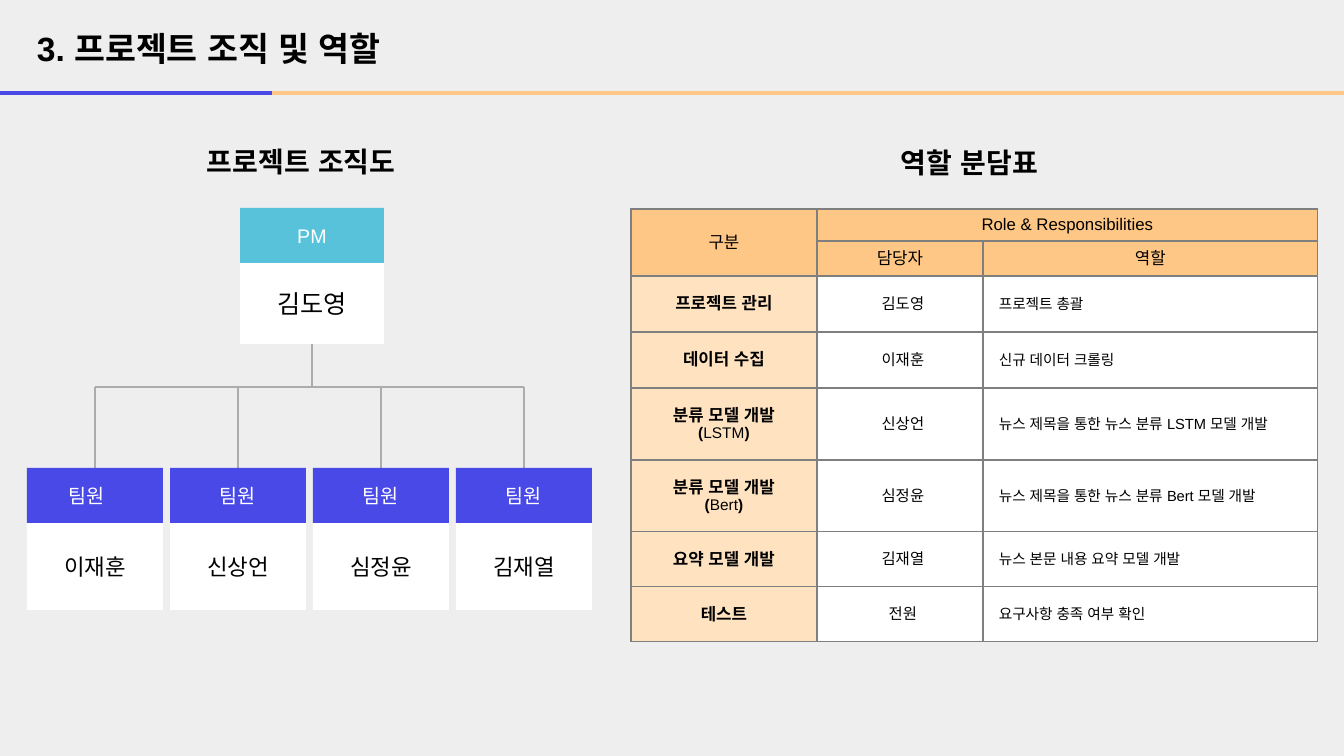
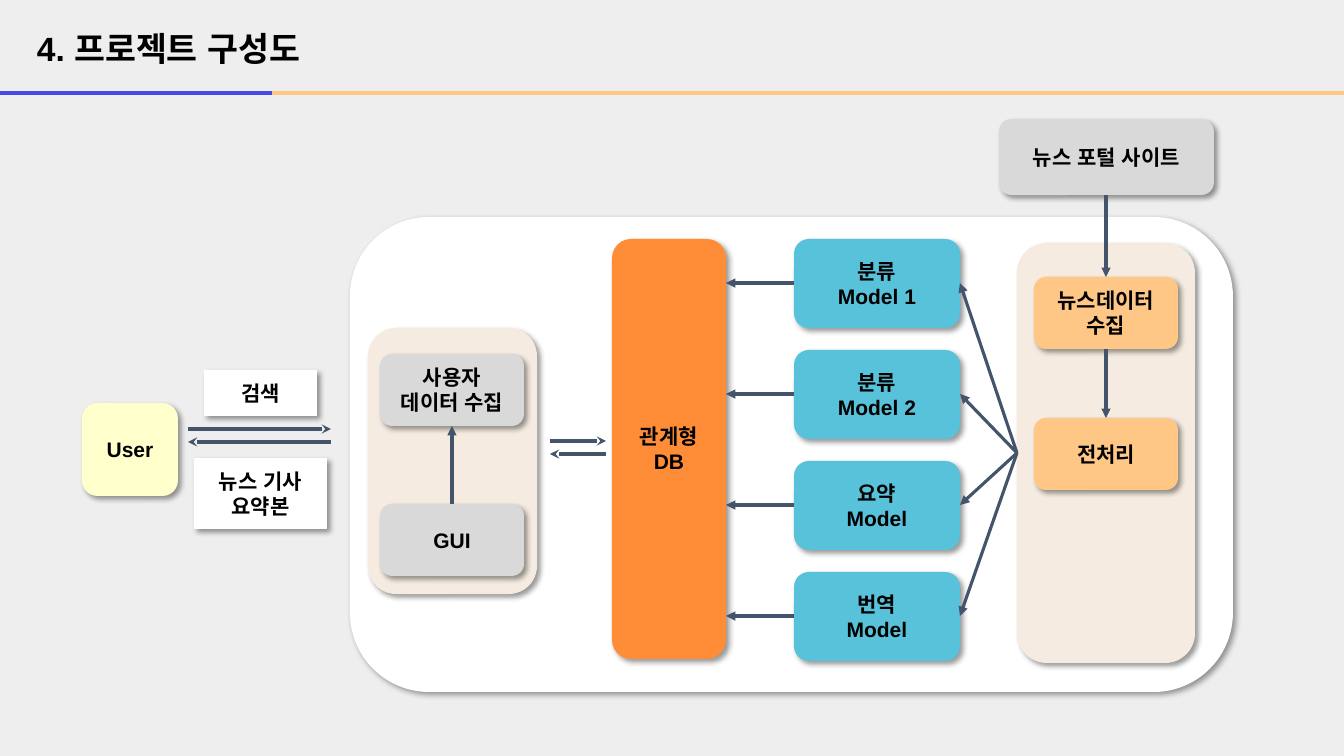
from lxml.etree import SubElement
from pptx import Presentation
from pptx.dml.color import RGBColor
from pptx.enum.shapes import MSO_CONNECTOR, MSO_SHAPE
from pptx.enum.text import MSO_ANCHOR, PP_ALIGN
from pptx.oxml.ns import qn
from pptx.util import Pt

PX = 914400 / 100.8
SLIDE_WIDTH, SLIDE_HEIGHT = 1344, 756
FONT = "Arial"
COLORS = {
    "background": "EEEEEE",
    "black": "000000",
    "white": "FFFFFF",
    "blue": "4949E8",
    "orange": "FFC785",
    "pale_orange": "FFE3C1",
    "deep_orange": "FF8C37",
    "teal": "58C2DA",
    "beige": "F5EBE0",
    "gray": "D9D9D9",
    "yellow": "FFFFCC",
    "tree_line": "AEABAB",
    "table_line": "7F7F7F",
    "arrow": "44546A",
}
MEMBERS = ["이재훈", "신상언", "심정윤", "김재열"]
ROLES = [
    ("프로젝트 관리", "", "김도영", "프로젝트 총괄"),
    ("데이터 수집", "", "이재훈", "신규 데이터 크롤링"),
    ("분류 모델 개발", "LSTM", "신상언", "뉴스 제목을 통한 뉴스 분류 LSTM 모델 개발"),
    ("분류 모델 개발", "Bert", "심정윤", "뉴스 제목을 통한 뉴스 분류 Bert 모델 개발"),
    ("요약 모델 개발", "", "김재열", "뉴스 본문 내용 요약 모델 개발"),
    ("테스트", "", "전원", "요구사항 충족 여부 확인"),
]
MODELS = ["분류\nModel 1", "분류\nModel 2", "요약\nModel", "번역\nModel"]


def emu(pixels):
    """Turn pixels into EMU."""
    return round(pixels * PX)


def rgb(name):
    """Look up a named colour."""
    return RGBColor.from_string(COLORS[name])


def format_run(run, size, color="black", bold=False):
    """Set the font of one run for Latin and Korean text."""
    run.font.name = FONT
    run.font.size = Pt(size)
    run.font.bold = bold
    run.font.color.rgb = rgb(color)
    SubElement(run.font._element, qn("a:ea")).set("typeface", FONT)


def write_text(text_frame, text, size, color="black", bold=False, align=PP_ALIGN.CENTER):
    """Fill a text frame and format all of its runs."""
    text_frame.text = text
    for paragraph in text_frame.paragraphs:
        paragraph.alignment = align
        for run in paragraph.runs:
            format_run(run, size, color, bold)


def add_label(slide, left, top, width, height, text, size):
    """Add a bold, left-aligned heading."""
    shape = slide.shapes.add_textbox(emu(left), emu(top), emu(width), emu(height))
    shape.text_frame.word_wrap = True
    write_text(shape.text_frame, text, size, bold=True, align=PP_ALIGN.LEFT)


def add_box(slide, left, top, width, height, fill, kind=MSO_SHAPE.RECTANGLE):
    """Add a plain filled shape without outline or shadow."""
    shape = slide.shapes.add_shape(kind, emu(left), emu(top), emu(width), emu(height))
    shape.shadow.inherit = False
    shape.fill.solid()
    shape.fill.fore_color.rgb = rgb(fill)
    shape.line.fill.background()
    return shape


def add_block(slide, left, top, width, height, fill, text="", kind=MSO_SHAPE.ROUNDED_RECTANGLE):
    """Add a diagram block with a soft shadow and a bold caption."""
    shape = add_box(slide, left, top, width, height, fill, kind)
    effects = shape._element.spPr.find(qn("a:effectLst"))
    shadow = SubElement(effects, qn("a:outerShdw"), blurRad="50800", dist="38100",
                        dir="2700000", algn="tl", rotWithShape="0")
    color = SubElement(shadow, qn("a:srgbClr"), val=COLORS["black"])
    SubElement(color, qn("a:alpha"), val="40000")
    if text:
        text_frame = shape.text_frame
        text_frame.margin_left = text_frame.margin_right = emu(10)
        text_frame.margin_top = text_frame.margin_bottom = emu(10)
        write_text(text_frame, text, 15, bold=True)


def add_line(slide, start, end, color, width, head=None):
    """Add a straight line, with an arrowhead at its end if one is named."""
    line = slide.shapes.add_connector(
        MSO_CONNECTOR.STRAIGHT, *(emu(value) for value in (*start, *end)))
    line.line.color.rgb = rgb(color)
    line.line.width = Pt(width)
    if head:
        SubElement(line.line._get_or_add_ln(), qn("a:tailEnd"), type=head)
    SubElement(line._element.spPr, qn("a:effectLst"))


def add_arrow(slide, start, end, head="triangle"):
    """Add a diagram arrow."""
    add_line(slide, start, end, "arrow", 2.25, head)


def add_exchange(slide, left, top, width):
    """Add a pair of opposite arrows."""
    right, lower = left + width, top + 13
    add_arrow(slide, (left, top), (right, top), "stealth")
    add_arrow(slide, (right, lower), (left, lower), "stealth")


def add_base(presentation, title):
    """Add a slide with background, title and two-colour rule."""
    slide = presentation.slides.add_slide(presentation.slide_layouts[6])
    slide.background.fill.solid()
    slide.background.fill.fore_color.rgb = rgb("background")
    add_label(slide, 27, 23, 428, 50, title, 24)
    add_line(slide, (0, 93), (272, 93), "blue", 3)
    add_line(slide, (272, 93), (SLIDE_WIDTH, 93), "orange", 3)
    return slide


def draw_card(slide, left, top, width, name_height, fill, role, name, name_size, shift=0):
    """Draw a person card: a coloured role band over a white name."""
    band_height = 55
    person = add_box(slide, left, top + band_height, width, name_height, "white")
    write_text(person.text_frame, name, name_size)
    band = add_box(slide, left, top, width, band_height, fill)
    band.text_frame.margin_right = emu(10 + shift)
    write_text(band.text_frame, role, 14, "white")


def draw_organization(slide, left, top):
    """Draw the organization tree under its heading."""
    card_width, step = 136, 143
    trunk, bus, members_top = left + 285, top + 247, top + 328
    add_label(slide, left + 170, top, 292, 40, "프로젝트 조직도", 20)
    draw_card(slide, trunk - 72, top + 68, 144, 81, "teal", "PM", "김도영", 18)
    add_line(slide, (trunk, top + 204), (trunk, bus), "tree_line", 1.5)
    centers = [left + card_width // 2 + step * index for index in range(len(MEMBERS))]
    add_line(slide, (centers[0], bus), (centers[-1], bus), "tree_line", 1.5)
    for index, (center, name) in enumerate(zip(centers, MEMBERS)):
        add_line(slide, (center, bus), (center, members_top), "tree_line", 1.5)
        draw_card(slide, center - card_width // 2, members_top, card_width, 87, "blue",
                  "팀원", name, 16, shift=0 if index else 17)


def style_cell(cell, fill, margin_x, margin_y):
    """Set borders, fill, margins and anchor of a table cell."""
    properties = cell._tc.get_or_add_tcPr()
    for side in ("a:lnL", "a:lnR", "a:lnT", "a:lnB"):
        border = SubElement(properties, qn(side), w=str(Pt(1)))
        SubElement(SubElement(border, qn("a:solidFill")), qn("a:srgbClr"),
                   val=COLORS["table_line"])
    cell.fill.solid()
    cell.fill.fore_color.rgb = rgb(fill)
    cell.vertical_anchor = MSO_ANCHOR.MIDDLE
    cell.margin_left = cell.margin_right = emu(margin_x)
    cell.margin_top = cell.margin_bottom = emu(margin_y)


def write_indented(cell, text, size, align):
    """Fill a white body cell whose text has a small hanging indent."""
    style_cell(cell, "white", 10, 4)
    write_text(cell.text_frame, text, size, align=align)
    properties = cell.text_frame.paragraphs[0]._p.get_or_add_pPr()
    properties.set("marL", str(emu(10)))
    properties.set("indent", str(emu(-4)))


def write_task(cell, task, model):
    """Fill a task cell, with the model name in brackets below if there is one."""
    style_cell(cell, "pale_orange", 5, 5)
    write_text(cell.text_frame, task, 12, bold=True)
    if model:
        paragraph = cell.text_frame.add_paragraph()
        paragraph.alignment = PP_ALIGN.CENTER
        for piece in ("(", model, ")"):
            run = paragraph.add_run()
            run.text = piece
            format_run(run, 11, bold=piece != model)


def draw_roles(slide, left, top):
    """Draw the table of roles under its heading."""
    widths = [186, 166, 335]
    heights = [32, 35, 56, 56, 72, 72, 55, 55]
    add_label(slide, left + 260, top, 170, 40, "역할 분담표", 20)
    table = slide.shapes.add_table(
        len(heights), len(widths), emu(left), emu(top + 68),
        emu(sum(widths)), emu(sum(heights))).table
    table.first_row = table.horz_banding = False
    for column, width in zip(table.columns, widths):
        column.width = emu(width)
    for row, height in zip(table.rows, heights):
        row.height = emu(height)
    table.cell(0, 0).merge(table.cell(1, 0))
    table.cell(0, 1).merge(table.cell(0, 2))
    headers = [["구분", "Role & Responsibilities", ""], ["", "담당자", "역할"]]
    for row, texts in enumerate(headers):
        for column, text in enumerate(texts):
            cell = table.cell(row, column)
            style_cell(cell, "orange", 10, 5)
            if text:
                write_text(cell.text_frame, text, 12)
    for row, (task, model, person, role) in enumerate(ROLES, len(headers)):
        write_task(table.cell(row, 0), task, model)
        write_indented(table.cell(row, 1), person, 11, PP_ALIGN.CENTER)
        write_indented(table.cell(row, 2), role, 10.5, PP_ALIGN.LEFT)


def draw_user(slide, left, top):
    """Draw the user and the messages exchanged with the system."""
    add_block(slide, left, top + 33, 96, 93, "yellow", "User")
    add_block(slide, left + 122, top, 113, 46, "white", "검색", MSO_SHAPE.RECTANGLE)
    add_block(slide, left + 112, top + 88, 133, 71, "white", "뉴스 기사 요약본",
              MSO_SHAPE.RECTANGLE)
    add_exchange(slide, left + 106, top + 59, 143)


def draw_stack(slide, left, top, fill, texts, step):
    """Draw equal steps one below another."""
    for index, text in enumerate(texts):
        add_block(slide, left, top + step * index, 144, 72, fill, text)


def draw_system(slide, left, top):
    """Draw the system frame with interface, database, models and collection."""
    add_block(slide, left, top, 883, 475, "white")

    add_block(slide, left + 18, top + 111, 169, 266, "beige")
    draw_stack(slide, left + 30, top + 137, "gray", ["사용자 데이터 수집", "GUI"], 150)
    add_arrow(slide, (left + 102, top + 287), (left + 102, top + 209))
    add_exchange(slide, left + 200, top + 224, 56)

    add_block(slide, left + 262, top + 22, 114, 420, "deep_orange", "관계형 DB")

    add_block(slide, left + 667, top + 26, 178, 420, "beige")
    draw_stack(slide, left + 684, top + 60, "orange", ["뉴스데이터 수집", "전처리"], 141)
    add_arrow(slide, (left + 756, top + 132), (left + 756, top + 201))

    for index, model in enumerate(MODELS):
        model_top = top + 22 + 111 * index
        middle = model_top + 44
        add_block(slide, left + 444, model_top, 166, 89, "teal", model)
        add_arrow(slide, (left + 444, middle), (left + 376, middle))
        add_arrow(slide, (left + 667, top + 236), (left + 610, middle))


def draw_portal(slide, left, top):
    """Draw the news site and its arrow into the collection step."""
    add_block(slide, left, top, 215, 76, "gray", "뉴스 포털 사이트")
    add_arrow(slide, (left + 107, top + 76), (left + 107, top + 158))


def main():
    """Build and save the presentation."""
    presentation = Presentation()
    presentation.slide_width = emu(SLIDE_WIDTH)
    presentation.slide_height = emu(SLIDE_HEIGHT)

    slide = add_base(presentation, "3. 프로젝트 조직 및 역할")
    draw_organization(slide, 27, 140)
    draw_roles(slide, 631, 141)

    slide = add_base(presentation, "4. 프로젝트 구성도")
    draw_system(slide, 350, 217)
    draw_user(slide, 82, 370)
    draw_portal(slide, 999, 119)

    presentation.save("out.pptx")


if __name__ == "__main__":
    main()
